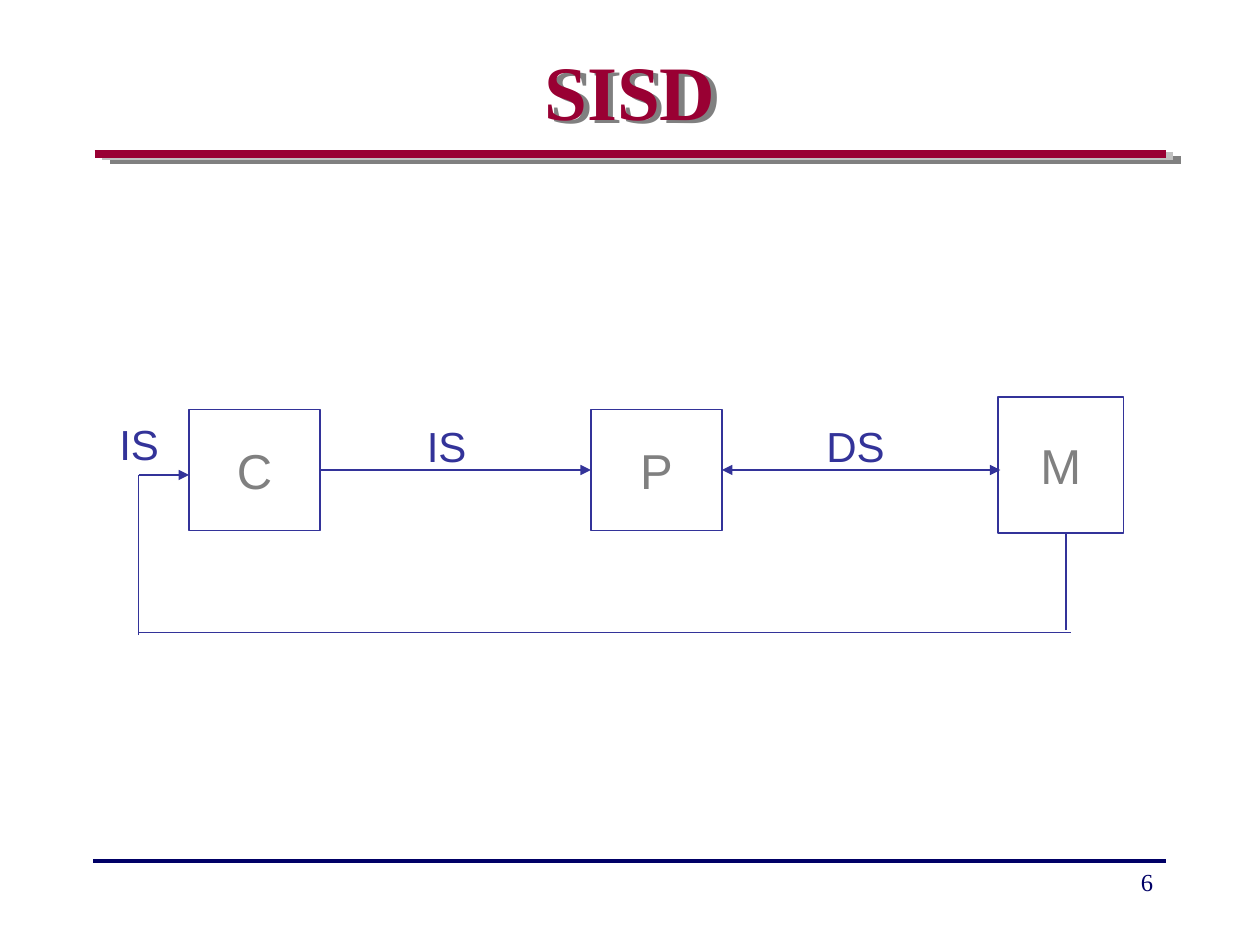
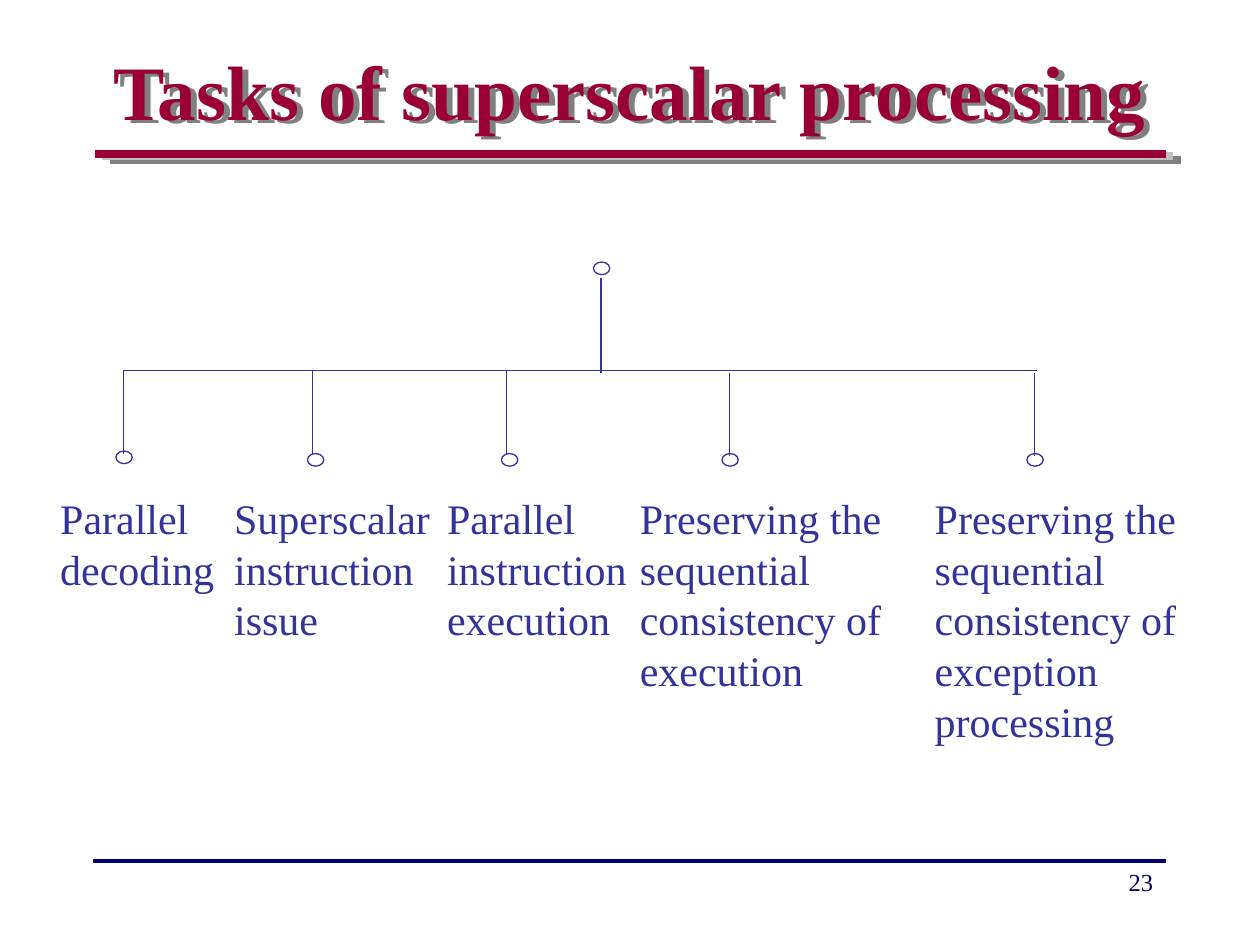
from dataclasses import dataclass

from lxml import etree
from pptx import Presentation
from pptx import util as u
from pptx.dml.color import RGBColor
from pptx.enum import shapes, text
from pptx.oxml import ns


@dataclass(frozen=True)
class Theme:
    crimson: str = "990033"
    navy: str = "000066"
    indigo: str = "333399"
    gray: str = "808080"
    silver: str = "C0C0C0"
    white: str = "FFFFFF"
    serif: str = "Times New Roman"
    sans: str = "Arial"
    title_size: float = 44
    box_size: float = 28
    label_size: float = 24
    number_size: float = 14
    thin: float = 0.75
    rule: float = 2.25
    band: float = 4.5


class Deck:
    """Holds the theme and the current slide, and draws each kind of element."""

    def __init__(self, theme):
        self.theme = theme
        self.presentation = Presentation()
        self.presentation.slide_width = u.Inches(10)
        self.presentation.slide_height = u.Inches(7.5)
        self.layout = self.presentation.slide_layouts.get_by_name("Title Only")
        self.slide = None

    def start_slide(self, title, number):
        first = self.slide is None
        self.slide = self.presentation.slides.add_slide(self.layout)
        if first:
            self.add_frame()
        self.add_title(title)
        self.add_text(str(number), (7.17, 6.83, 2.08, 0.5), self.theme.navy,
                      self.theme.number_size, align=text.PP_ALIGN.RIGHT)

    def add_frame(self):
        """Puts the title band and the footer rule on the layout."""
        theme = self.theme
        lines = [
            (0.87, 9.37, 1.27, theme.gray, theme.band),
            (0.81, 9.31, 1.24, theme.silver, theme.band),
            (0.75, 9.25, 1.22, theme.crimson, theme.band),
            (0.74, 9.25, 6.83, theme.navy, theme.rule),
        ]
        for shape_id, (left, right, y, color, width) in enumerate(lines, 20):
            line = self.add_line((left, y), (right, y), color, width)
            line.element.nvCxnSpPr.cNvPr.id = shape_id
            self.layout.shapes.element.append(line.element)

    def add_title(self, words):
        title = self.slide.shapes.title
        title.left, title.top, title.width, title.height = map(
            u.Inches, (0.75, 0.09, 8.5, 1.25))
        self.set_text(title.text_frame, words, self.theme.crimson,
                      self.theme.title_size, self.theme.serif,
                      text.PP_ALIGN.CENTER, text.MSO_ANCHOR.MIDDLE, bold=True)
        # Hard grey shadow behind the letters
        effects = etree.SubElement(title.element.spPr, ns.qn("a:effectLst"))
        shadow = etree.SubElement(effects, ns.qn("a:outerShdw"),
                                  dist=str(u.Inches(0.05)), dir="1200000",
                                  algn="ctr", rotWithShape="0")
        etree.SubElement(shadow, ns.qn("a:srgbClr"), val=self.theme.gray)

    def set_text(self, frame, words, color, size, font, align, anchor,
                 wrap=True, bold=False, spacing=None):
        frame.auto_size = text.MSO_AUTO_SIZE.NONE
        frame.word_wrap = wrap
        frame.vertical_anchor = anchor
        paragraph = frame.paragraphs[0]
        paragraph.alignment = align
        paragraph.line_spacing = spacing
        run = paragraph.add_run()
        run.text = words
        run.font.name = font
        run.font.size = u.Pt(size)
        run.font.bold = bold
        run.font.color.rgb = RGBColor.from_string(color)

    def add_text(self, words, place, color, size, align=text.PP_ALIGN.LEFT,
                 spacing=None):
        box = self.slide.shapes.add_textbox(*map(u.Inches, place))
        self.set_text(box.text_frame, words, color, size, self.theme.serif,
                      align, text.MSO_ANCHOR.TOP, spacing=spacing)

    def add_label(self, words, left, top, width):
        box = self.slide.shapes.add_textbox(
            *map(u.Inches, (left, top, width, 0.5)))
        self.set_text(box.text_frame, words, self.theme.indigo,
                      self.theme.label_size, self.theme.sans,
                      text.PP_ALIGN.CENTER, text.MSO_ANCHOR.MIDDLE, wrap=False)

    def add_outline(self, kind, place):
        shape = self.slide.shapes.add_shape(kind, *map(u.Inches, place))
        shape.shadow.inherit = False
        shape.line.color.rgb = RGBColor.from_string(self.theme.indigo)
        shape.line.width = u.Pt(self.theme.thin)
        return shape

    def add_box(self, letter, place):
        box = self.add_outline(shapes.MSO_SHAPE.RECTANGLE, place)
        box.fill.solid()
        box.fill.fore_color.rgb = RGBColor.from_string(self.theme.white)
        self.set_text(box.text_frame, letter, self.theme.gray,
                      self.theme.box_size, self.theme.sans,
                      text.PP_ALIGN.CENTER, text.MSO_ANCHOR.MIDDLE, wrap=False)
        return box

    def add_node(self, left, top):
        node = self.add_outline(shapes.MSO_SHAPE.OVAL, (left, top, 0.13, 0.1))
        node.fill.background()

    def add_line(self, start, end, color=None, width=None, arrows=()):
        """Draws a line; arrows may name headEnd (start) and tailEnd (end)."""
        line = self.slide.shapes.add_connector(
            shapes.MSO_CONNECTOR.STRAIGHT, *map(u.Inches, (*start, *end)))
        line.line.color.rgb = RGBColor.from_string(color or self.theme.indigo)
        line.line.width = u.Pt(width or self.theme.thin)
        outline = line.element.spPr.find(ns.qn("a:ln"))
        for arrow in arrows:
            etree.SubElement(outline, ns.qn(f"a:{arrow}"), type="triangle")
        etree.SubElement(line.element.spPr, ns.qn("a:effectLst"))
        return line


def build_sisd(deck):
    deck.start_slide("SISD", 6)

    # Control unit, processor and memory
    control = deck.add_box("C", (1.5, 3.25, 1.04, 0.96))
    processor = deck.add_box("P", (4.69, 3.25, 1.04, 0.96))
    deck.add_box("M", (7.92, 3.15, 1, 1.08))

    # Streams between the boxes
    instructions = deck.add_line((2.54, 3.73), (4.69, 3.73),
                                 arrows=["tailEnd"])
    instructions.begin_connect(control, 3)
    instructions.end_connect(processor, 1)
    data = deck.add_line((5.73, 3.73), (7.94, 3.73),
                         arrows=["headEnd", "tailEnd"])
    data.begin_connect(processor, 3)

    # Return path from memory to control
    deck.add_line((8.46, 5), (8.46, 4.23))
    deck.add_line((1.1, 5.02), (8.5, 5.02))
    deck.add_line((1.1, 5.04), (1.1, 3.77))
    deck.add_line((1.1, 3.77), (1.5, 3.77), arrows=["tailEnd"])

    # Stream labels
    deck.add_label("IS", 0.85, 3.27, 0.51)
    deck.add_label("IS", 3.29, 3.29, 0.51)
    deck.add_label("DS", 6.46, 3.29, 0.66)


def build_tasks(deck):
    deck.start_slide("Tasks of superscalar processing", 23)

    # Root and crossbar
    deck.add_node(4.71, 2.08)
    deck.add_line((4.77, 2.21), (4.77, 2.96))
    deck.add_line((0.98, 2.94), (8.23, 2.94))

    # Branches: stem x, stem top, node left, node top, text left, width, task
    branches = [
        (0.98, 2.94, 0.92, 3.58, 0.38, 1.5, "Parallel decoding"),
        (2.48, 2.94, 2.44, 3.6, 1.76, 1.85, "Superscalar instruction issue"),
        (4.02, 2.94, 3.98, 3.6, 3.45, 1.7, "Parallel instruction execution"),
        (5.79, 2.96, 5.73, 3.6, 4.98, 2.25,
         "Preserving the sequential consistency of execution"),
        (8.21, 2.96, 8.15, 3.6, 7.32, 2.25,
         "Preserving the sequential consistency of exception processing"),
    ]
    for stem, top, node_left, node_top, left, width, task in branches:
        deck.add_line((stem, top), (stem, top + 0.66))
        deck.add_node(node_left, node_top)
        deck.add_text(task, (left, 3.86, width, 2.5), deck.theme.indigo,
                      deck.theme.label_size, spacing=u.Pt(28.9))


def main():
    deck = Deck(Theme())
    build_sisd(deck)
    build_tasks(deck)
    deck.presentation.save("out.pptx")


if __name__ == "__main__":
    main()
